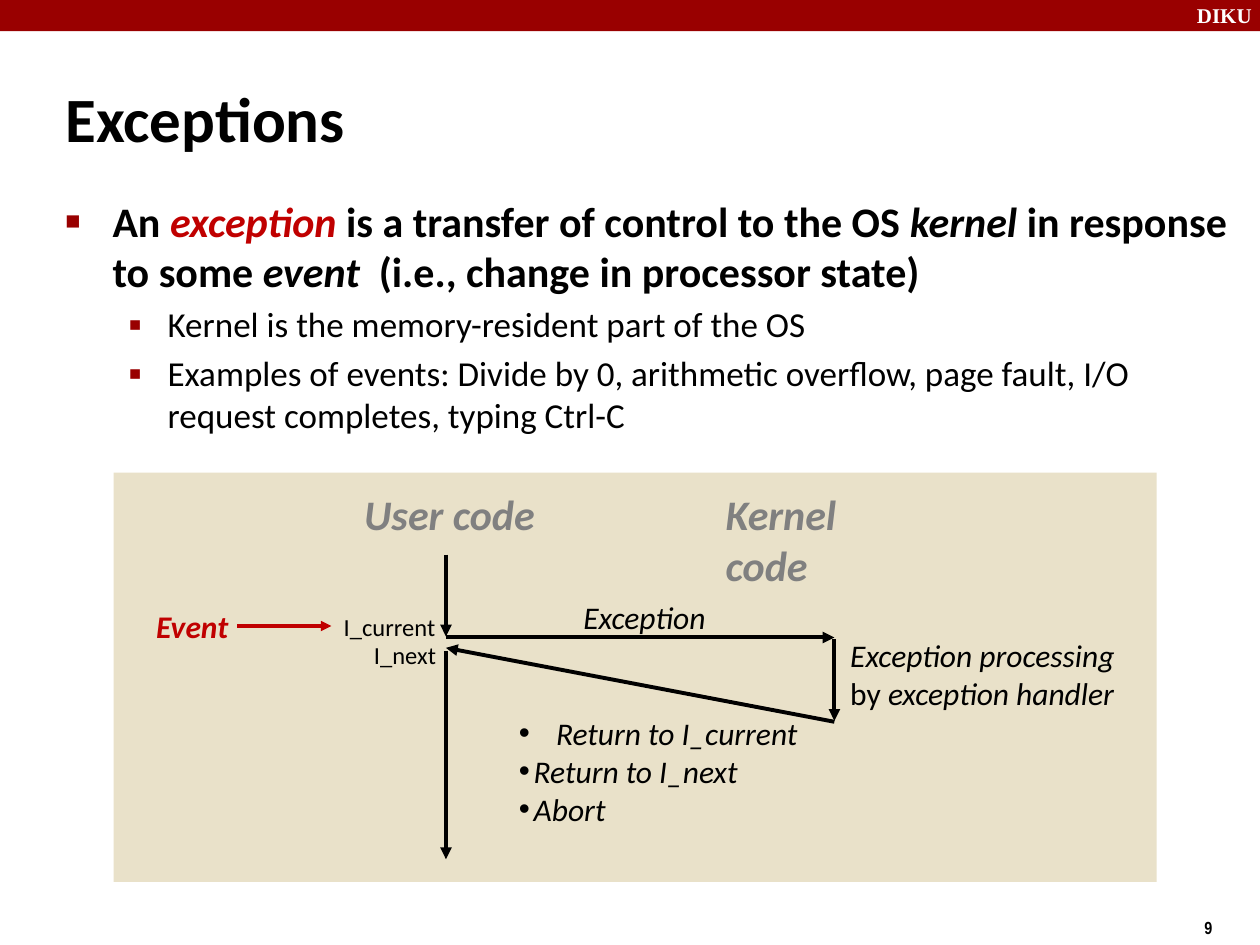
from lxml.etree import SubElement
from pptx import Presentation
from pptx.dml.color import RGBColor
from pptx.enum.shapes import MSO_CONNECTOR, MSO_SHAPE
from pptx.oxml.ns import qn
from pptx.util import Cm, Pt

BLACK, RED, MAROON, GRAY = "000000", "C00000", "990000", "808080"


def color(code):
    return RGBColor.from_string(code)


def add_bar(slide, x, y, w, h, fill):
    bar = slide.shapes.add_shape(MSO_SHAPE.RECTANGLE, Cm(x), Cm(y), Cm(w), Cm(h))
    bar.shadow.inherit = False
    bar.fill.solid()
    bar.fill.fore_color.rgb = color(fill)
    bar.line.fill.background()


def add_box(slide, x, y, w, h):
    """Add an empty text box and return its text frame."""
    frame = slide.shapes.add_textbox(Cm(x), Cm(y), Cm(w), Cm(h)).text_frame
    frame.word_wrap = True
    return frame


def add_para(frame, runs, size, tone=BLACK, bold=False, face="Calibri", before=0):
    """Fill the first free paragraph; each run is (text, italic[, tone])."""
    para = frame.paragraphs[0]
    if para.runs:
        para = frame.add_paragraph()
        para.space_before = Pt(before)
    for text, slant, *own in runs:
        run = para.add_run()
        run.text = text
        font = run.font
        font.name, font.size = face, Pt(size)
        font.bold, font.italic = bold, slant
        font.color.rgb = color(own[0] if own else tone)
    return para


def add_bullet(para, char, left, hang, tone, scale=100):
    props = para._p.get_or_add_pPr()
    props.set("marL", str(Cm(left)))
    props.set("indent", str(-Cm(hang)))
    SubElement(SubElement(props, qn("a:buClr")), qn("a:srgbClr"), val=tone)
    SubElement(props, qn("a:buSzPct"), val=str(scale * 1000))
    SubElement(props, qn("a:buFont"), typeface="Arial")
    SubElement(props, qn("a:buChar"), char=char)


def add_label(slide, text, place, size, tone=BLACK, slant=True, bold=False,
              face="Calibri"):
    frame = add_box(slide, *place)
    add_para(frame, [(text, slant)], size, tone, bold, face)


def add_arrow(slide, x1, y1, x2, y2, tone=BLACK, width=2.25):
    arrow = slide.shapes.add_connector(
        MSO_CONNECTOR.STRAIGHT, Cm(x1), Cm(y1), Cm(x2), Cm(y2))
    arrow.line.color.rgb = color(tone)
    arrow.line.width = Pt(width)
    SubElement(arrow.line._get_or_add_ln(), qn("a:tailEnd"), type="triangle")
    SubElement(arrow._element.spPr, qn("a:effectLst"))


def add_body(slide):
    body = add_box(slide, 1.07, 3.81, 24.13, 5.28)
    lead = [
        ("An ", False), ("exception", True, RED),
        (" is a transfer of control to the OS ", False), ("kernel", True),
        (" in response to some ", False), ("event", True),
        ("  (i.e., change in processor state)", False),
    ]
    add_bullet(add_para(body, lead, 24, bold=True), "■", 0.95, 0.95, MAROON, 60)
    for text in (
        "Kernel is the memory-resident part of the OS",
        "Examples of events: Divide by 0, arithmetic overflow, page fault, "
        "I/O request completes, typing Ctrl-C",
    ):
        para = add_para(body, [(text, False)], 20, before=4)
        add_bullet(para, "▪", 2.06, 0.79, MAROON, 110)


def add_flow(slide):
    """Draw the passage of control between user code and kernel."""
    add_label(slide, "User code", (7.09, 9.73, 4.5, 1.27), 24, GRAY, bold=True)
    add_label(slide, "Kernel code", (14.38, 9.73, 4.57, 1.27), 24, GRAY, bold=True)

    user, kernel = 8.99, 16.82
    add_arrow(slide, user, 11.18, user, 12.83)
    add_arrow(slide, user, 12.85, kernel, 12.85)
    add_arrow(slide, kernel, 12.88, kernel, 14.53)
    add_arrow(slide, kernel, 14.55, user, 13.06)
    add_arrow(slide, user, 13.13, user, 17.32)

    add_label(slide, "Exception", (11.51, 11.94, 3.3, 1.02), 18)
    work = add_box(slide, 16.89, 12.7, 6.1, 2.54)
    add_para(work, [("Exception processing", True)], 18)
    add_para(work, [("by ", False), ("exception handler", True)], 18)

    ends = add_box(slide, 10.21, 14.27, 6.7, 2.54)
    for text, hang in (("Return to I_current", 0.75),
                       ("Return to I_next", 0.3), ("Abort", 0.3)):
        add_bullet(add_para(ends, [(text, True)], 18), "•", hang, hang, BLACK)

    add_label(slide, "Event", (2.9, 12.12, 2.24, 1.02), 18, RED, bold=True)
    add_label(slide, "I_current", (6.68, 12.22, 2.7, 0.84), 14, slant=False)
    add_label(slide, "I_next", (7.29, 12.78, 2.1, 0.84), 14, slant=False)
    add_arrow(slide, 4.78, 12.62, 6.68, 12.62, RED, 2)


def main():
    deck = Presentation()
    deck.slide_width, deck.slide_height = Cm(25.4), Cm(19.05)
    slide = deck.slides.add_slide(deck.slide_layouts[6])
    add_bar(slide, 0, 0, 25.4, 0.63, MAROON)
    add_label(slide, "DIKU", (23.88, -0.08, 1.7, 0.76), 12, "FFFFFF",
              slant=False, bold=True, face="Times New Roman")
    add_label(slide, "9", (24.03, 18.36, 0.9, 0.69), 10, slant=False,
              bold=True, face="Arial Narrow")
    add_bar(slide, 2.29, 9.53, 21.03, 8.25, "E9E1C9")
    add_label(slide, "Exceptions", (1.07, 1.48, 9.32, 1.6), 36, slant=False,
              bold=True)
    add_body(slide)
    add_flow(slide)
    deck.save("out.pptx")


if __name__ == "__main__":
    main()
